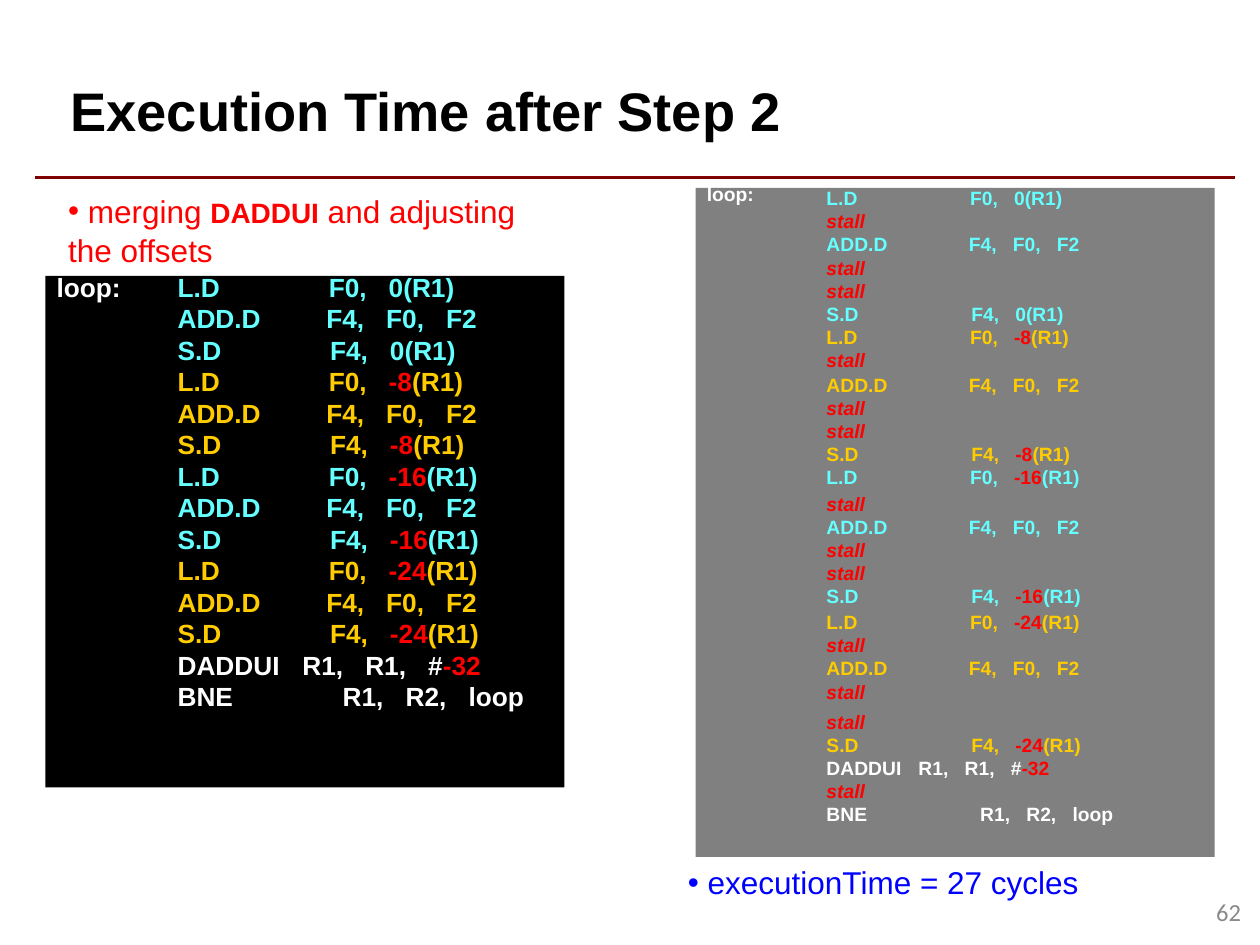
from dataclasses import dataclass

from lxml import etree
from pptx import Presentation
from pptx import util as u
from pptx.dml.color import RGBColor
from pptx.enum import shapes, text
from pptx.oxml.ns import qn

CELL = 0.1  # grid cell in inches: 100 columns by 75 rows


@dataclass(frozen=True)
class Theme:
    font: str = "Arial"
    number_font: str = "Calibri"
    black: str = "000000"
    white: str = "FFFFFF"
    gray: str = "808080"
    number: str = "898989"
    rule: str = "800000"
    red: str = "FF0000"
    blue: str = "0000FF"
    cyan: str = "65FFFF"
    yellow: str = "FFCC00"
    title_size: int = 31
    body_size: int = 18
    keyword_size: int = 16
    code_size: int = 15
    small_code_size: int = 11
    number_size: int = 14


def grid(cells):
    return u.Inches(cells * CELL)


class SlideBuilder:
    def __init__(self, slide, theme):
        self.slide = slide
        self.theme = theme

    def place(self, shape, box):
        shape.left, shape.top, shape.width, shape.height = map(grid, box)

    def frame(self, shape, inset=0):
        frame = shape.text_frame
        frame.auto_size = text.MSO_AUTO_SIZE.NONE
        frame.word_wrap = True
        frame.vertical_anchor = text.MSO_ANCHOR.TOP
        frame.margin_left = frame.margin_right = grid(inset)
        frame.margin_top = frame.margin_bottom = 0
        return frame

    def text_box(self, box, inset=0):
        return self.frame(self.slide.shapes.add_textbox(*map(grid, box)), inset)

    def style(self, paragraph, size, spacing=None, bold=False, font=None):
        paragraph.line_spacing = u.Pt(spacing) if spacing else None
        paragraph.font.name = font or self.theme.font
        paragraph.font.size = u.Pt(size)
        paragraph.font.bold = bold

    def run(self, paragraph, words, color):
        run = paragraph.add_run()
        run.text = words
        run.font.color.rgb = RGBColor.from_string(color)
        return run

    def title(self, words, box):
        shape = self.slide.shapes.title
        self.place(shape, box)
        paragraph = self.frame(shape).paragraphs[0]
        paragraph.alignment = text.PP_ALIGN.LEFT
        self.style(paragraph, self.theme.title_size, 41.6, bold=True)
        self.run(paragraph, words, self.theme.black)

    def body(self, index, box):
        shape = self.slide.placeholders[index]
        self.place(shape, box)
        return self.frame(shape)

    def body_line(self, paragraph, spacing, bullet=True):
        properties = paragraph._p.get_or_add_pPr()
        hang = grid(1.57) if bullet else 0
        properties.set("marL", str(hang))
        properties.set("indent", str(-hang))
        if bullet:
            etree.SubElement(properties, qn("a:buChar")).set("char", "•")
        else:
            etree.SubElement(properties, qn("a:buNone"))
        paragraph.space_before = u.Pt(0)
        self.style(paragraph, self.theme.body_size, spacing)
        return paragraph

    def rule(self, left, right, row):
        line = self.slide.shapes.add_connector(
            shapes.MSO_CONNECTOR.STRAIGHT, *map(grid, (left, row, right, row)))
        line.line.color.rgb = RGBColor.from_string(self.theme.rule)
        line.line.width = u.Pt(2)
        etree.SubElement(line._element.spPr, qn("a:effectLst"))

    def panel(self, box, color):
        shape = self.slide.shapes.add_shape(
            shapes.MSO_SHAPE.RECTANGLE, *map(grid, box))
        shape.shadow.inherit = False
        shape.fill.solid()
        shape.fill.fore_color.rgb = RGBColor.from_string(color)
        shape.line.fill.background()

    def label(self, words, box, size, spacing):
        paragraph = self.text_box(box).paragraphs[0]
        self.style(paragraph, size, spacing, bold=True)
        self.run(paragraph, words, self.theme.white)

    def operand_tabs(self, paragraph, start, step):
        tabs = etree.SubElement(paragraph._p.get_or_add_pPr(), qn("a:tabLst"))
        for column in range(3):
            tab = etree.SubElement(tabs, qn("a:tab"))
            tab.set("pos", str(grid(start + column * step)))
            tab.set("algn", "l")

    def code(self, lines, box, size, spacing, starts, gaps):
        """Parts between bars are red; starts holds each first operand's column."""
        frame = self.text_box(box)
        for number, (line, color) in enumerate(lines):
            paragraph = frame.add_paragraph() if number else frame.paragraphs[0]
            mnemonic = line.split("\t")[0]
            if mnemonic in starts:
                register_step = 0.333 if mnemonic in ("DADDUI", "BNE") else 0.317
                self.operand_tabs(paragraph, starts[mnemonic], register_step * size)
            if number in gaps:
                paragraph.space_before = u.Pt(gaps[number])
            self.style(paragraph, size, spacing, bold=True)
            paragraph.font.italic = mnemonic == "stall"
            for part, words in enumerate(line.split("|")):
                if words:
                    self.run(paragraph, words, self.theme.red if part % 2 else color)

    def slide_number(self, words, box):
        frame = self.text_box(box, inset=1.8)
        frame.vertical_anchor = text.MSO_ANCHOR.MIDDLE
        paragraph = frame.paragraphs[0]
        paragraph.alignment = text.PP_ALIGN.RIGHT
        self.style(paragraph, self.theme.number_size, font=self.theme.number_font)
        self.run(paragraph, words, self.theme.number)


def unrolled_loop(theme, stalls):
    """Four loop iterations and the loop end, with or without stall cycles."""
    def wait(count):
        return [("stall", theme.red)] * count if stalls else []

    lines = []
    for iteration in range(4):
        color = (theme.cyan, theme.yellow)[iteration % 2]
        offset = f"|{-8 * iteration}|" if iteration else "0"
        lines += [(f"L.D\tF0,\t{offset}(R1)", color), *wait(1),
                  ("ADD.D\tF4,\tF0,\tF2", color), *wait(2),
                  (f"S.D\tF4,\t{offset}(R1)", color)]
    return lines + [("DADDUI\tR1,\tR1,\t#|-32|", theme.white), *wait(1),
                    ("BNE\tR1,\tR2,\tloop", theme.white)]


def main():
    theme = Theme()
    presentation = Presentation()
    presentation.slide_width, presentation.slide_height = grid(100), grid(75)
    slide = presentation.slides.add_slide(presentation.slide_layouts[3])
    builder = SlideBuilder(slide, theme)

    # Heading
    builder.title("Execution Time after Step 2", (5.6, 5.5, 60, 6.7))
    builder.rule(2.8, 98, 14.1)

    # Merged code
    builder.panel((3.6, 21.9, 41.2, 40.6), theme.black)
    builder.label("loop:", (4.5, 21.5, 7, 2.5), theme.code_size, 18)
    builder.code(unrolled_loop(theme, False), (14.1, 21.5, 30, 35),
                 theme.code_size, 18,
                 {"L.D": 12, "ADD.D": 11.8, "S.D": 12.1, "DADDUI": 9.9, "BNE": 13.1},
                 {})

    # Code with stall cycles
    builder.panel((55.2, 14.9, 41.2, 53.1), theme.gray)
    builder.label("loop:", (56.1, 14.5, 6, 2), theme.small_code_size, 13.2)
    builder.code(unrolled_loop(theme, True), (65.6, 14.8, 26, 51),
                 theme.small_code_size, 13.2,
                 {"L.D": 11.4, "ADD.D": 11.3, "S.D": 11.5, "DADDUI": 7.3, "BNE": 12.2},
                 {8: 1, 13: 2, 18: 1.5, 22: 4})

    # Explanations
    merging = builder.body(1, (5.4, 14.8, 38, 7.5))
    first = builder.body_line(merging.paragraphs[0], 24.6)
    builder.run(first, "merging ", theme.red)
    keyword = builder.run(first, "DADDUI", theme.red)
    keyword.font.size, keyword.font.bold = u.Pt(theme.keyword_size), True
    builder.run(first, " and adjusting", theme.red)
    second = builder.body_line(merging.add_paragraph(), 22.7, bullet=False)
    builder.run(second, "the offsets", theme.red)

    result = builder.body(2, (54.6, 68.1, 33, 4.4))
    builder.run(builder.body_line(result.paragraphs[0], 24.6),
                "executionTime = 27 cycles", theme.blue)

    builder.slide_number("62", (58, 68.7, 42.3, 7.3))
    presentation.save("out.pptx")


if __name__ == "__main__":
    main()
